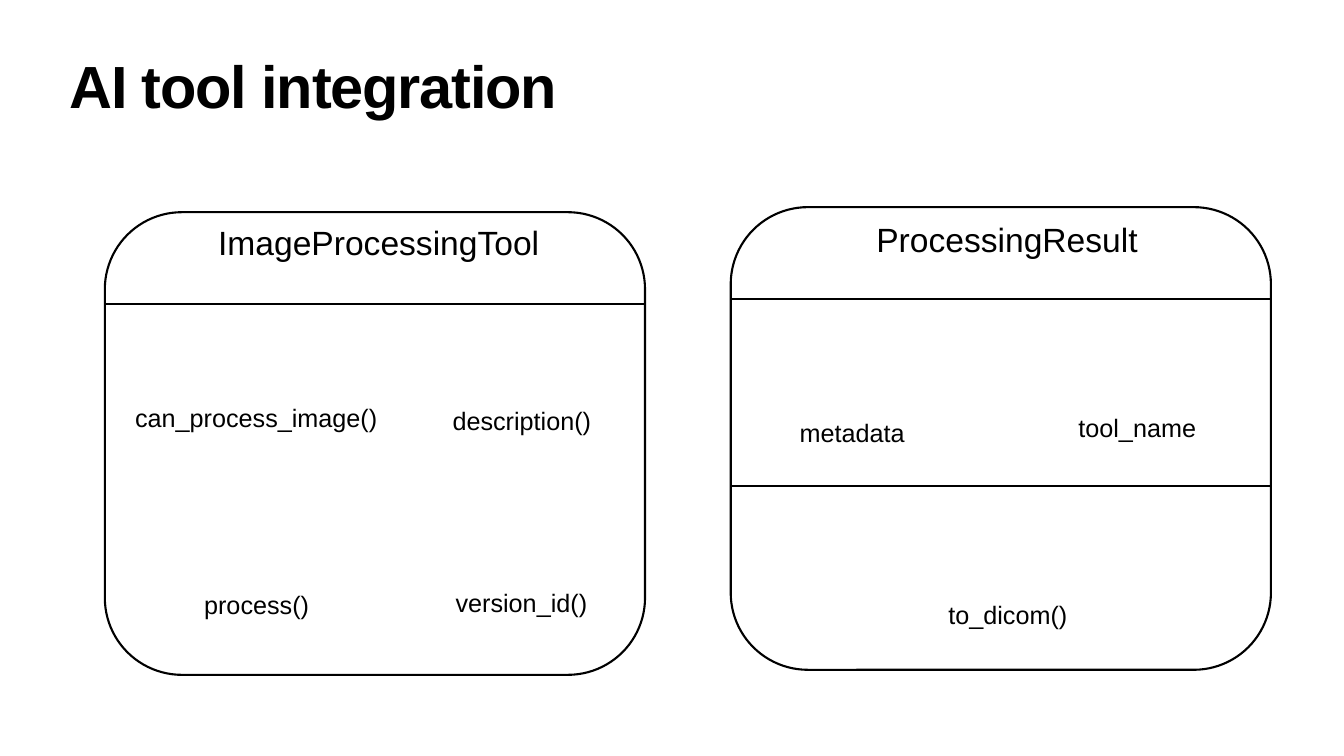
from lxml.etree import SubElement
from pptx import Presentation
from pptx.dml.color import RGBColor
from pptx.enum.shapes import MSO_CONNECTOR, MSO_SHAPE
from pptx.enum.text import MSO_ANCHOR, MSO_AUTO_SIZE, PP_ALIGN
from pptx.oxml.ns import qn
from pptx.util import Inches, Pt

BLACK = RGBColor(0, 0, 0)
FONT = "Arial"
INSET = Inches(0.06)
CARD_WIDTH, CARD_HEIGHT = 10.72, 9.18
NAME_SIZE, MEMBER_SIZE = 48, 36
BOX_HEIGHTS = {NAME_SIZE: 1.47, MEMBER_SIZE: 1.29}

TITLE = "AI tool integration"
CLASSES = [
    {
        "corner": (2.08, 4.21),
        "name": ("ImageProcessingTool", 4.27, 4.11, 6.63),
        "members": [
            ("description()", 8.92, 7.73, 2.89),
            ("process()", 3.99, 11.38, 2.22),
            ("can_process_image()", 2.62, 7.67, 4.96),
            ("version_id()", 8.98, 11.35, 2.75),
        ],
        "dividers": [(2.08, 6.03)],
    },
    {
        "corner": (14.5, 4.11),
        "name": ("ProcessingResult", 17.33, 4.05, 5.35),
        "members": [
            ("metadata", 15.81, 7.97, 2.22),
            ("tool_name", 21.34, 7.87, 2.47),
            ("to_dicom()", 18.76, 11.59, 2.5),
        ],
        "dividers": [(14.5, 5.94), (14.52, 9.64)],
    },
]


def write(frame, text, size, spacing, anchor, wrap):
    frame.margin_left = frame.margin_right = INSET
    frame.margin_top = frame.margin_bottom = INSET
    frame.vertical_anchor = anchor
    frame.word_wrap = wrap
    frame.auto_size = MSO_AUTO_SIZE.NONE
    paragraph = frame.paragraphs[0]
    paragraph.alignment = PP_ALIGN.LEFT
    paragraph.line_spacing = spacing
    paragraph.space_before = Pt(0)
    run = paragraph.add_run()
    run.text = text
    run.font.name = FONT
    run.font.size = Pt(size)
    run.font.color.rgb = BLACK
    return run


def add_title(slide):
    title = slide.shapes.title
    title.left, title.top = Inches(1.32), Inches(1.18)
    title.width, title.height = Inches(24.03), Inches(1.57)
    run = write(title.text_frame, TITLE, 85, 0.8, MSO_ANCHOR.TOP, True)
    run.font.bold = True
    run.font._element.set("spc", "-170")


def add_label(slide, label, size):
    text, left, top, width = label
    box = slide.shapes.add_textbox(
        Inches(left), Inches(top), Inches(width), Inches(BOX_HEIGHTS[size]))
    write(box.text_frame, text, size, 0.9, MSO_ANCHOR.MIDDLE, False)


def add_outline(slide, left, top):
    shape = slide.shapes.add_shape(
        MSO_SHAPE.ROUNDED_RECTANGLE, Inches(left), Inches(top),
        Inches(CARD_WIDTH), Inches(CARD_HEIGHT))
    shape.shadow.inherit = False
    shape.fill.background()
    shape.line.color.rgb = BLACK
    shape.line.width = Pt(3)


def add_divider(slide, left, top):
    line = slide.shapes.add_connector(
        MSO_CONNECTOR.STRAIGHT, Inches(left), Inches(top),
        Inches(left + CARD_WIDTH), Inches(top))
    line.line.color.rgb = BLACK
    line.line.width = Pt(3)
    SubElement(line._element.spPr, qn("a:effectLst"))


def main():
    presentation = Presentation()
    presentation.slide_width = Inches(26.67)
    presentation.slide_height = Inches(15)
    slide = presentation.slides.add_slide(presentation.slide_layouts[5])
    add_title(slide)
    for card in CLASSES:
        add_outline(slide, *card["corner"])
        add_label(slide, card["name"], NAME_SIZE)
        for member in card["members"]:
            add_label(slide, member, MEMBER_SIZE)
        for divider in card["dividers"]:
            add_divider(slide, *divider)
    presentation.save("out.pptx")


if __name__ == "__main__":
    main()
